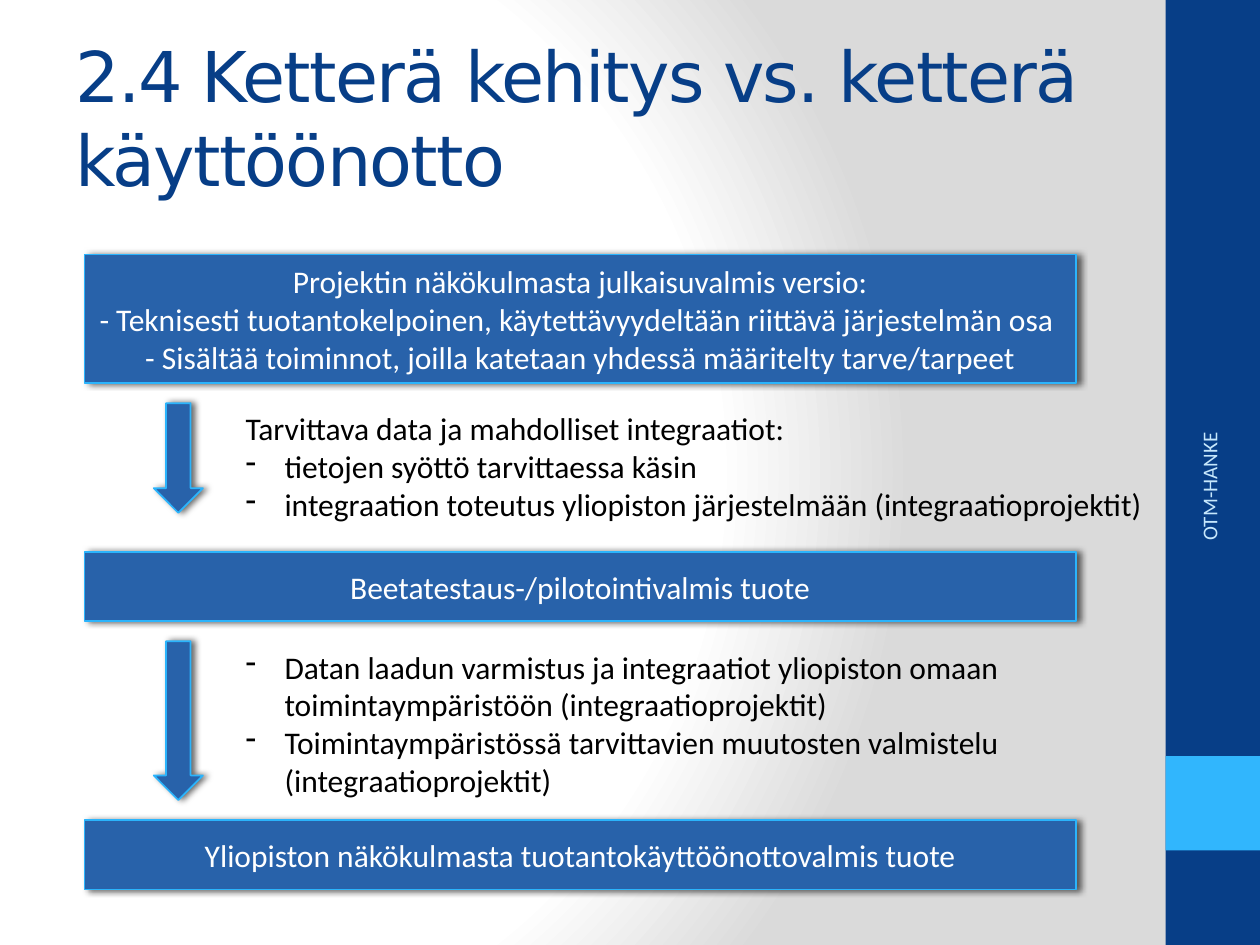
"""Build the slide on agile development versus agile deployment as a three-step flow."""
from dataclasses import dataclass

from lxml import etree
from pptx import Presentation
from pptx.dml.color import RGBColor
from pptx.enum.shapes import MSO_SHAPE
from pptx.enum.text import MSO_ANCHOR, PP_ALIGN
from pptx.oxml import parse_xml
from pptx.oxml.ns import nsdecls, qn
from pptx.util import Inches, Pt

RECTANGLE, DOWN_ARROW = MSO_SHAPE.RECTANGLE, MSO_SHAPE.DOWN_ARROW
MIDDLE, TOP = MSO_ANCHOR.MIDDLE, MSO_ANCHOR.TOP
LEFT, CENTER, RIGHT = PP_ALIGN.LEFT, PP_ALIGN.CENTER, PP_ALIGN.RIGHT


@dataclass(frozen=True)
class Theme:
    navy: str = "073E87"
    sky: str = "31B6FD"
    block: str = "2862AA"
    edge: str = "2BB4FC"
    pale: str = "C6E7FC"
    white: str = "FFFFFF"
    gray: str = "DADADA"
    black: str = "000000"
    title_font: str = "DejaVu Sans"
    body_font: str = "Calibri"
    title_size: int = 40
    body_size: int = 18
    label_size: int = 12


theme = Theme()


def write(box, lines, size=theme.body_size, font=theme.body_font, color=theme.black,
          align=LEFT, anchor=TOP, wrap=True, spacing=None):
    """Write lines into a box; a line that is a (dash, text) pair gets a bullet."""
    frame = box.text_frame
    frame.word_wrap = wrap
    frame.vertical_anchor = anchor
    for index, line in enumerate(lines):
        para = frame.add_paragraph() if index else frame.paragraphs[0]
        bullet, text = line if isinstance(line, tuple) else (None, line)
        para.text = text
        para.alignment = align
        if bullet:
            properties = para._p.get_or_add_pPr()
            properties.set("marL", str(Inches(0.31)))
            properties.set("indent", str(-Inches(0.31)))
            etree.SubElement(properties, qn("a:buChar")).set("char", bullet)
        for span in para.runs:
            span.font.size = Pt(size)
            span.font.name = font
            span.font.color.rgb = RGBColor.from_string(color)
            if spacing is not None:
                span._r.get_or_add_rPr().set("spc", str(spacing))


def add_block(kind, left, top, width, height, fill, edge=None):
    """Add a filled shape; an edged one also casts a soft shadow to the right."""
    block = page.shapes.add_shape(kind, *map(Inches, (left, top, width, height)))
    block.shadow.inherit = False
    block.fill.solid()
    block.fill.fore_color.rgb = RGBColor.from_string(fill)
    if edge is None:
        block.line.fill.background()
        return block
    block.line.color.rgb = RGBColor.from_string(edge)
    block.line.width = Pt(1)
    effects = block._element.spPr.find(qn("a:effectLst"))
    effects.append(parse_xml(
        f'<a:outerShdw {nsdecls("a")} blurRad="{Pt(4)}" dist="{Pt(2)}" dir="0" rotWithShape="0">'
        f'<a:srgbClr val="{theme.black}"><a:alpha val="60000"/></a:srgbClr></a:outerShdw>'))
    return block


deck = Presentation()
deck.slide_width, deck.slide_height = Inches(10), Inches(7.5)
page = deck.slides.add_slide(deck.slide_layouts[6])

page.background.fill.solid()
background = page.background._cSld.find(qn("p:bg")).find(qn("p:bgPr"))
stops = "".join(
    f'<a:gs pos="{share * 1000}"><a:srgbClr val="{color}"/></a:gs>'
    for share, color in ((0, theme.white), (75, theme.white), (100, theme.gray)))
background.replace(background[0], parse_xml(
    f'<a:gradFill {nsdecls("a")} rotWithShape="1"><a:gsLst>{stops}</a:gsLst>'
    '<a:path path="circle"><a:fillToRect l="20000" t="50000" r="100000" b="50000"/>'
    '</a:path></a:gradFill>'))

side = 0.75
add_block(RECTANGLE, 10 - side, 0, side, 7.5, theme.navy)
add_block(RECTANGLE, 10 - side, 8 * side, side, side, theme.sky)

title = page.shapes.add_textbox(*map(Inches, (0.5, 0.3, 8.33, 1.25)))
write(title, ["2.4 Ketterä kehitys vs. ketterä käyttöönotto"], size=theme.title_size,
      font=theme.title_font, color=theme.navy, anchor=MIDDLE, spacing=-100)

label = page.shapes.add_textbox(*map(Inches, (8.3, 4.43, 2.59, 0.4)))
label.rotation = 270
write(label, ["OTM-HANKE"], size=theme.label_size, color=theme.pale, align=RIGHT, anchor=MIDDLE)

stages = [
    (2.02, 1.02, [
        "Projektin näkökulmasta julkaisuvalmis versio:\v"
        "- Teknisesti tuotantokelpoinen, käytettävyydeltään riittävä järjestelmän osa ",
        "- Sisältää toiminnot, joilla katetaan yhdessä määritelty tarve/tarpeet"]),
    (4.38, 0.55, ["Beetatestaus-/pilotointivalmis tuote"]),
    (6.51, 0.55, ["Yliopiston näkökulmasta tuotantokäyttöönottovalmis tuote"]),
]
steps = [
    (0.87, 7.35, 1.01, [
        "Tarvittava data ja mahdolliset integraatiot:",
        ("-", "tietojen syöttö tarvittaessa käsin"),
        ("-", "integraation toteutus yliopiston järjestelmään (integraatioprojektit)")]),
    (1.26, 6.29, 1.31, [
        ("-", "Datan laadun varmistus ja integraatiot yliopiston omaan \v"
              "toimintaympäristöön (integraatioprojektit)"),
        ("-", "Toimintaympäristössä tarvittavien muutosten valmistelu \v"
              "(integraatioprojektit)")]),
]
gap = 0.16

for top, height, lines in stages:
    stage = add_block(RECTANGLE, 0.67, top, 7.87, height, theme.block, theme.edge)
    write(stage, lines, color=theme.white, align=CENTER, anchor=MIDDLE)

for (top, height, _), (arrow_height, note_width, note_height, lines) in zip(stages, steps):
    start = top + height + gap
    add_block(DOWN_ARROW, 1.22, start, 0.39, arrow_height, theme.block, theme.edge)
    note = page.shapes.add_textbox(*map(Inches, (1.85, start, note_width, note_height)))
    write(note, lines, wrap=False)

deck.save("out.pptx")
